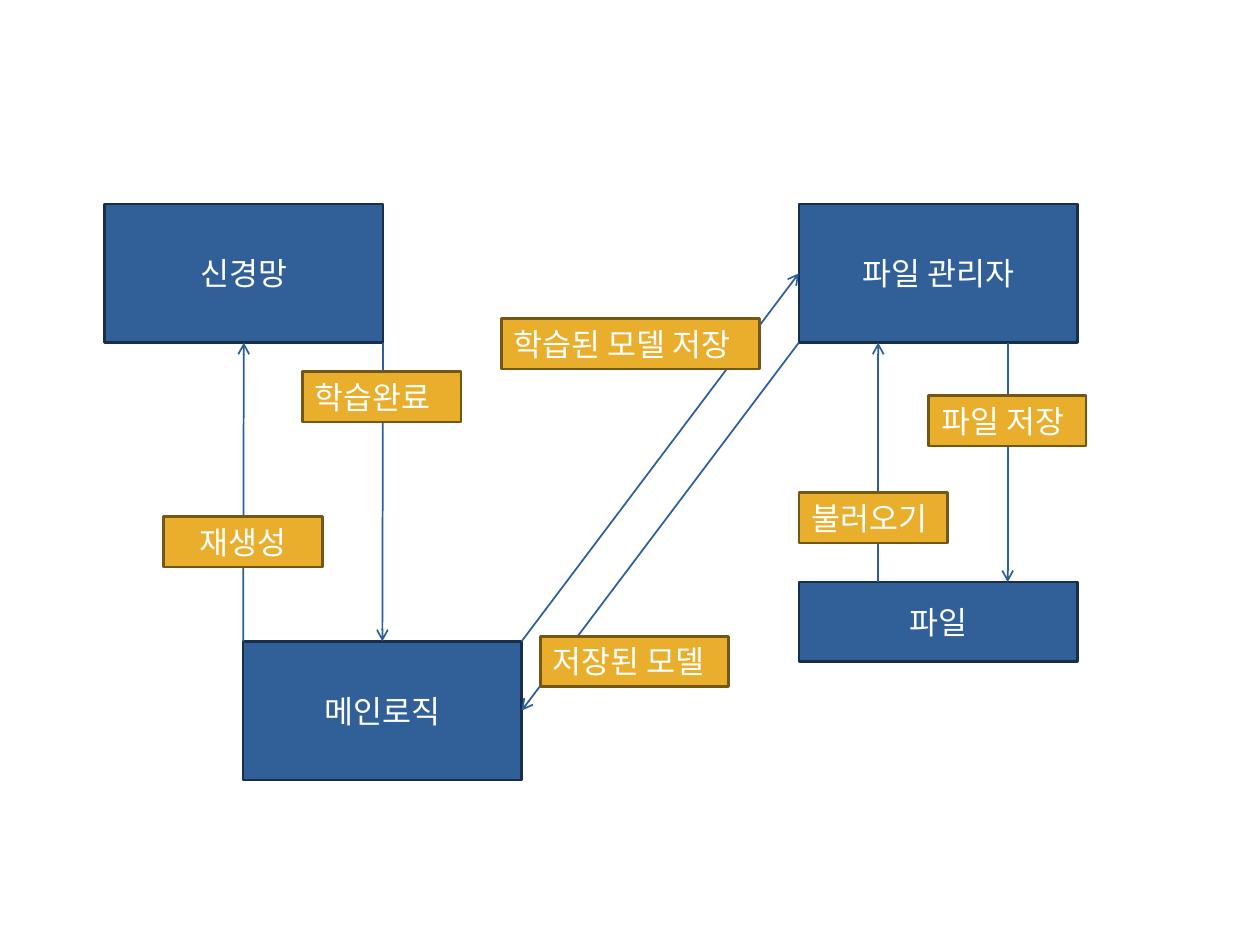
from lxml.etree import SubElement
from pptx import Presentation
from pptx.dml.color import RGBColor
from pptx.enum.shapes import MSO_CONNECTOR, MSO_SHAPE
from pptx.enum.text import MSO_ANCHOR, MSO_AUTO_SIZE, PP_ALIGN
from pptx.oxml.ns import qn
from pptx.util import Inches, Pt

FONT = "Noto Sans CJK KR"
ARROW_COLOR = "2E5F9A"

# Modules: text -> left, top, width, height
MODULES = {
    "메인로직": (1.93, 5.09, 2.21, 1.1),
    "신경망": (0.83, 1.62, 2.21, 1.1),
    "파일 관리자": (6.34, 1.62, 2.21, 1.1),
    "파일": (6.34, 4.62, 2.21, 0.63),
}

# Flows: (module, x share, y share) of the start and of the end
FLOWS = [
    (("신경망", 1, 1), ("메인로직", 0.5, 0)),
    (("메인로직", 1, 0), ("파일 관리자", 0, 0.5)),
    (("파일 관리자", 0.75, 1), ("파일", 0.75, 0)),
    (("파일", 0.285, 0), ("파일 관리자", 0.285, 1)),
    (("파일 관리자", 0, 1), ("메인로직", 1, 0.5)),
    (("메인로직", 0, 0), ("신경망", 0.5, 1)),
]

# Labels: text, box, alignment, wrap
LABELS = [
    ("학습완료", (2.4, 2.95, 1.26, 0.4), PP_ALIGN.LEFT, True),
    ("파일 저장", (7.37, 3.14, 1.25, 0.4), PP_ALIGN.LEFT, False),
    ("불러오기", (6.34, 3.91, 1.18, 0.4), PP_ALIGN.LEFT, False),
    ("학습된 모델 저장", (3.98, 2.53, 2.05, 0.4), PP_ALIGN.LEFT, False),
    ("저장된 모델", (4.29, 5.05, 1.49, 0.4), PP_ALIGN.LEFT, False),
    ("재생성", (1.3, 4.1, 1.26, 0.4), PP_ALIGN.CENTER, True),
]

MODULE_COLORS = ("315F97", "182F4B")
LABEL_COLORS = ("E9AE2B", "745615")
MODULE_FRAME = {"vertical_anchor": MSO_ANCHOR.MIDDLE, "word_wrap": True}
LABEL_FRAME = {"vertical_anchor": MSO_ANCHOR.TOP,
               "auto_size": MSO_AUTO_SIZE.SHAPE_TO_FIT_TEXT}
SIDES = {(0.5, 0): 0, (0, 0.5): 1, (0.5, 1): 2, (1, 0.5): 3}


def paint(color_format, color):
    color_format.rgb = RGBColor.from_string(color)


def add_box(slide, text, box, colors, alignment, frame_format):
    rect = slide.shapes.add_shape(MSO_SHAPE.RECTANGLE, *map(Inches, box))
    rect.shadow.inherit = False
    rect.fill.solid()
    paint(rect.fill.fore_color, colors[0])
    paint(rect.line.color, colors[1])
    rect.line.width = Pt(1.5)
    for attribute, value in frame_format.items():
        setattr(rect.text_frame, attribute, value)
    paragraph = rect.text_frame.paragraphs[0]
    paragraph.alignment = alignment
    run = paragraph.add_run()
    run.text = text
    run.font.size = Pt(18)
    run.font.name = FONT
    paint(run.font.color, "FFFFFF")
    SubElement(run.font._element, qn("a:ea"), typeface=FONT)
    return rect


def point_on(module, x_share, y_share):
    left, top, width, height = MODULES[module]
    return Inches(left + width * x_share), Inches(top + height * y_share)


def add_flow(slide, start, end, module_rects):
    arrow = slide.shapes.add_connector(
        MSO_CONNECTOR.STRAIGHT, *point_on(*start), *point_on(*end))
    for (module, *shares), join in ((start, arrow.begin_connect), (end, arrow.end_connect)):
        side = SIDES.get(tuple(shares))
        if side is not None:
            join(module_rects[module], side)
    paint(arrow.line.color, ARROW_COLOR)
    arrow.line.width = Pt(1)
    SubElement(arrow.line._get_or_add_ln(), qn("a:tailEnd"), type="arrow")
    SubElement(arrow._element.spPr, qn("a:effectLst"))


def main():
    prs = Presentation()
    prs.slide_width, prs.slide_height = Inches(10), Inches(7.5)
    slide = prs.slides.add_slide(prs.slide_layouts[6])
    module_rects = {
        text: add_box(slide, text, box, MODULE_COLORS, PP_ALIGN.CENTER, MODULE_FRAME)
        for text, box in MODULES.items()
    }
    for start, end in FLOWS:
        add_flow(slide, start, end, module_rects)
    for text, box, alignment, wrap in LABELS:
        add_box(slide, text, box, LABEL_COLORS, alignment, {**LABEL_FRAME, "word_wrap": wrap})
    prs.save("out.pptx")


if __name__ == "__main__":
    main()
